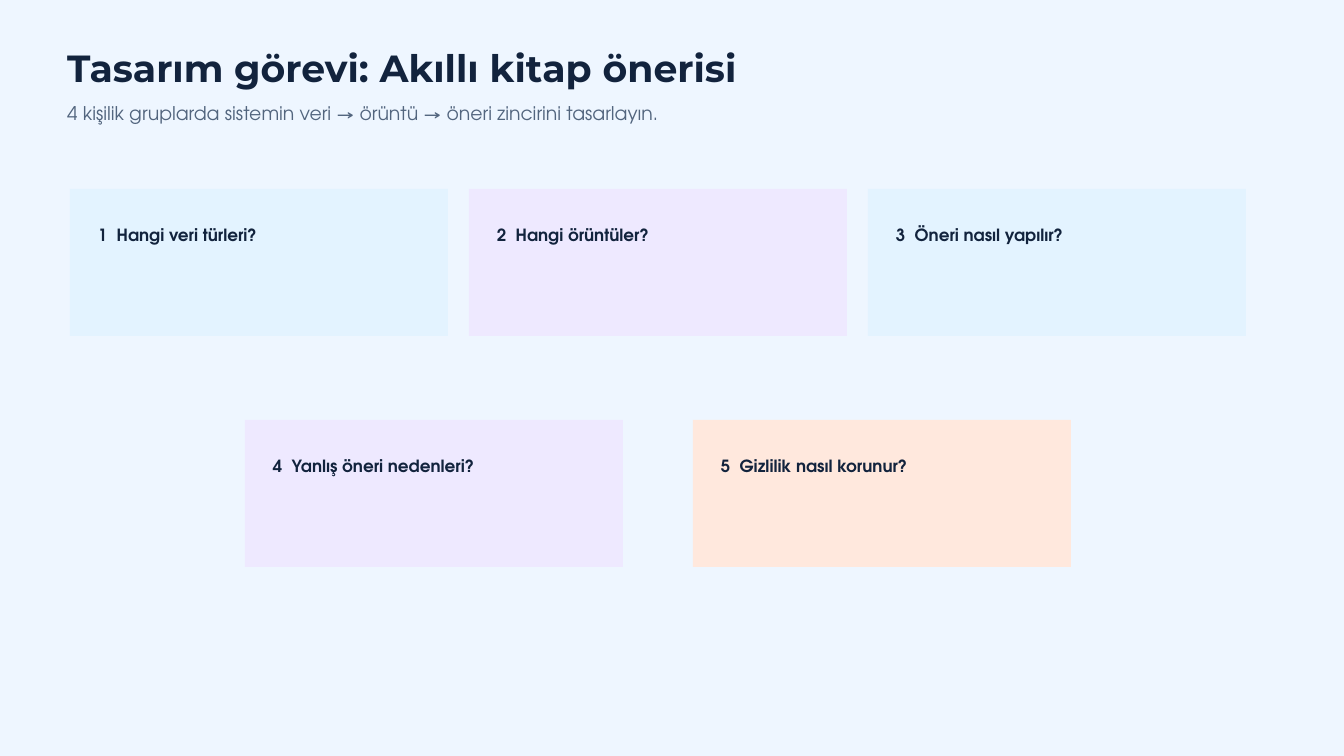
from lxml.etree import SubElement
from pptx import Presentation
from pptx.dml.color import RGBColor
from pptx.enum.shapes import MSO_SHAPE
from pptx.enum.text import MSO_ANCHOR, PP_ALIGN
from pptx.oxml.ns import qn
from pptx.util import Pt

COLORS = {
    "page": "EEF6FF",
    "ink": "12233D",
    "muted": "52657E",
    "blue": "E3F3FF",
    "violet": "EEE9FF",
    "peach": "FFE8DD",
}
HEADING_FONT = "Montserrat"
BODY_FONT = "TeX Gyre Adventor"

CARD_WIDTH, CARD_HEIGHT = 405, 157.5
NUMBER_WIDTH = 20

# Each row: left, top, distance between card lefts, cards
CARD_ROWS = [
    (75, 202.5, 427.5, [
        ("Hangi veri türleri?", "blue"),
        ("Hangi örüntüler?", "violet"),
        ("Öneri nasıl yapılır?", "blue"),
    ]),
    (262.5, 450, 480, [
        ("Yanlış öneri nedenleri?", "violet"),
        ("Gizlilik nasıl korunur?", "peach"),
    ]),
]


def color(name):
    return RGBColor.from_string(COLORS[name])


def place(shape, left, top, width, height):
    shape.left, shape.top = Pt(left), Pt(top)
    shape.width, shape.height = Pt(width), Pt(height)


def write_line(shape, text, font, size, spacing, ink, bold=False, inset=(0, 0)):
    frame = shape.text_frame
    frame.word_wrap = True
    frame.vertical_anchor = MSO_ANCHOR.TOP
    frame.margin_left, frame.margin_top = Pt(inset[0]), Pt(inset[1])
    frame.margin_right = frame.margin_bottom = 0
    para = frame.paragraphs[0]
    para.text = text
    para.alignment = PP_ALIGN.LEFT
    para.line_spacing = Pt(spacing)
    if "\t" in text:
        hang_after_number(para)
    para.font.name = font
    para.font.size = Pt(size)
    para.font.bold = bold
    para.font.color.rgb = color(ink)


def hang_after_number(para):
    properties = para._p.get_or_add_pPr()
    properties.set("marL", str(Pt(NUMBER_WIDTH)))
    properties.set("indent", str(-Pt(NUMBER_WIDTH)))
    tabs = SubElement(properties, qn("a:tabLst"))
    SubElement(tabs, qn("a:tab"), pos=str(Pt(NUMBER_WIDTH)), algn="l")


def add_heading(page):
    title = page.shapes.title
    place(title, 72, 53.3, 1125, 43.7)
    write_line(title, "Tasarım görevi: Akıllı kitap önerisi",
               HEADING_FONT, 40.5, 43.7, "ink", bold=True)

    box = page.shapes.add_textbox(Pt(72), Pt(107.3), Pt(1125), Pt(26.3))
    write_line(box, "4 kişilik gruplarda sistemin veri → örüntü → öneri zincirini tasarlayın.",
               BODY_FONT, 20.2, 26.3, "muted")


def add_card(page, number, question, fill, left, top):
    card = page.shapes.add_shape(MSO_SHAPE.RECTANGLE, Pt(left), Pt(top),
                                 Pt(CARD_WIDTH), Pt(CARD_HEIGHT))
    card.shadow.inherit = False
    card.fill.solid()
    card.fill.fore_color.rgb = color(fill)
    card.line.fill.background()
    write_line(card, f"{number}\t{question}", BODY_FONT, 18, 20.7, "ink",
               bold=True, inset=(30, 38.7))


def main():
    deck = Presentation()
    deck.slide_width, deck.slide_height = Pt(1440), Pt(810)
    page = deck.slides.add_slide(deck.slide_layouts[5])
    page.background.fill.solid()
    page.background.fill.fore_color.rgb = color("page")

    add_heading(page)

    # Question cards, numbered across the rows
    number = 1
    for left, top, pitch, cards in CARD_ROWS:
        for column, (question, fill) in enumerate(cards):
            add_card(page, number, question, fill, left + column * pitch, top)
            number += 1

    deck.save("out.pptx")


if __name__ == "__main__":
    main()
